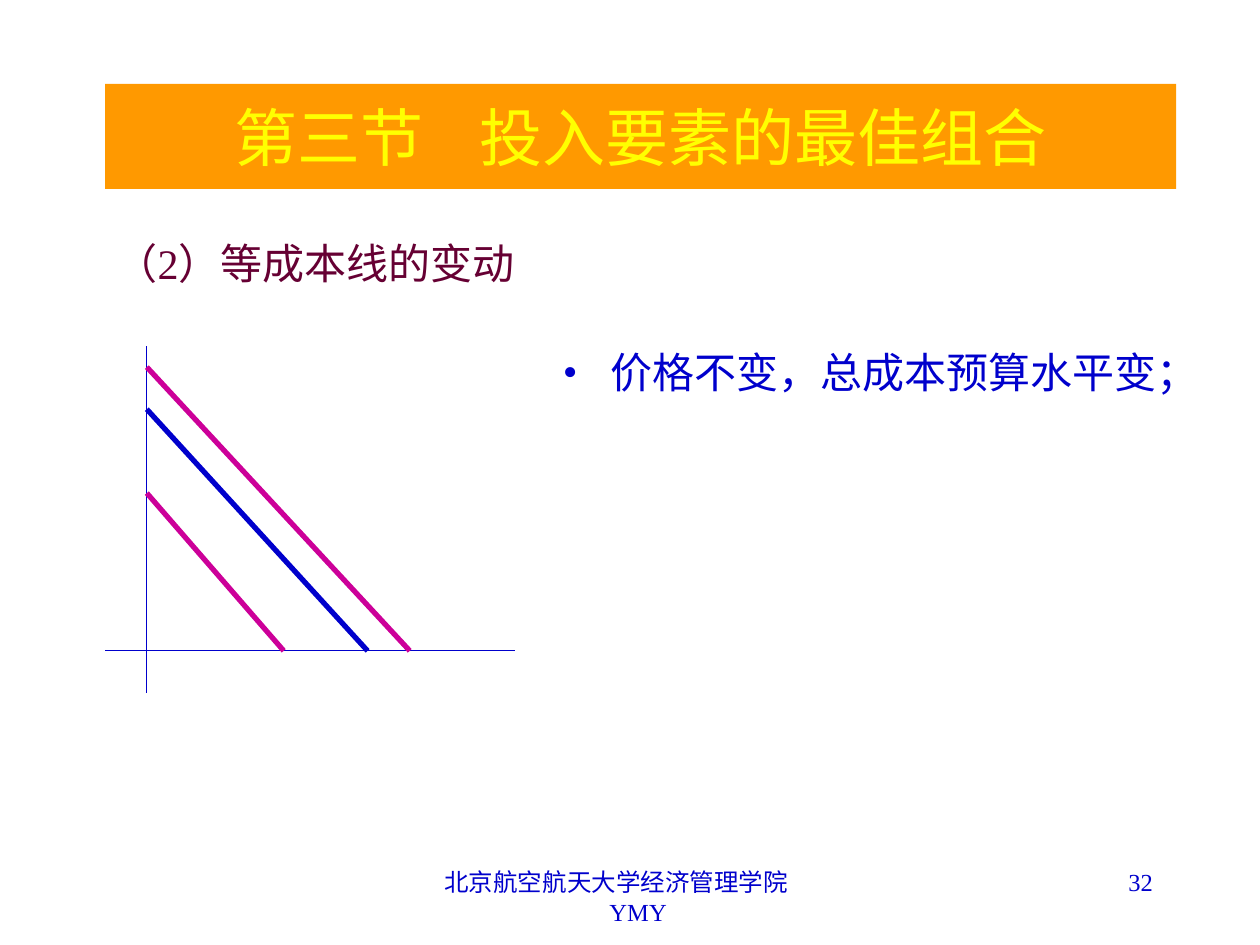
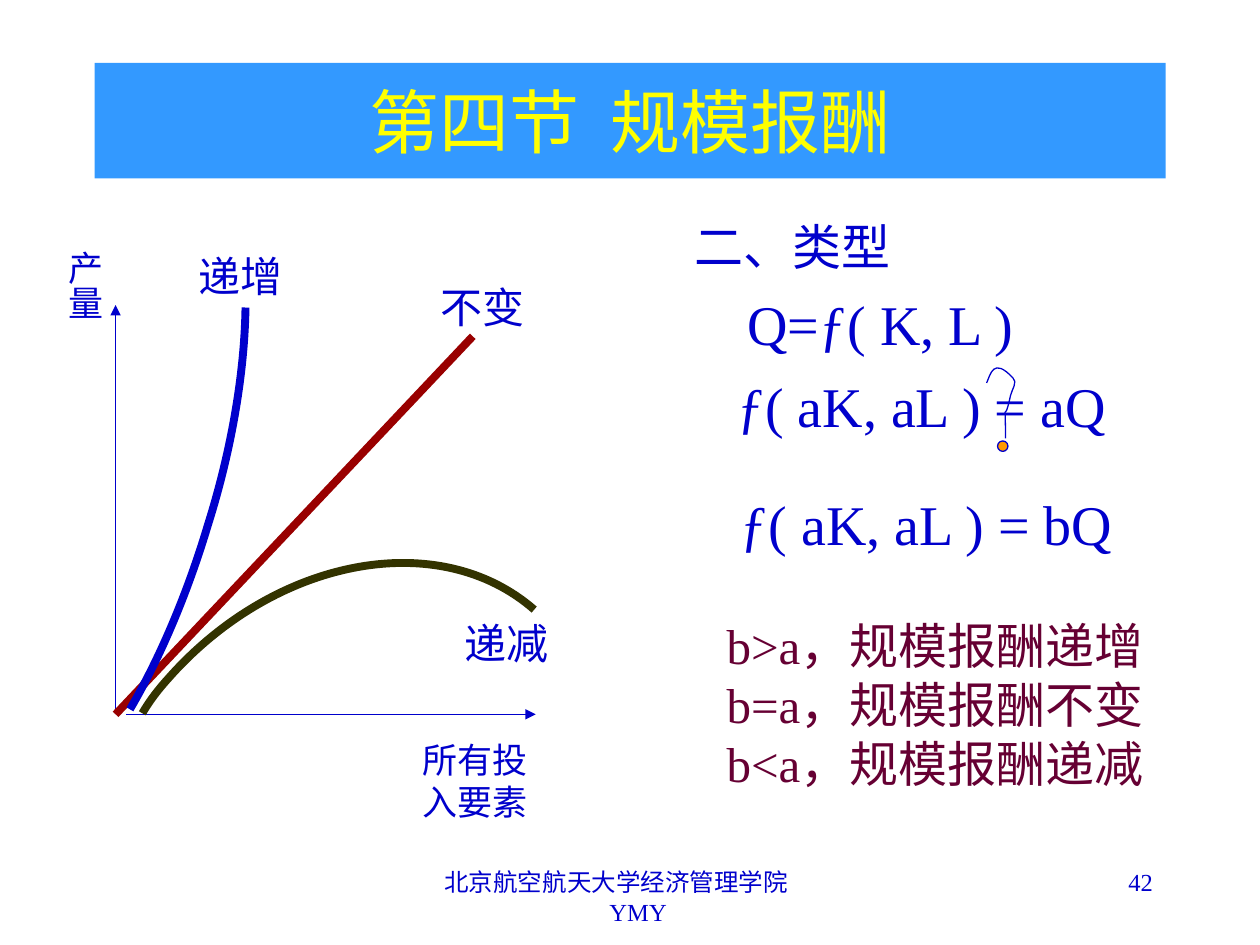
from lxml import etree
from pptx import Presentation
from pptx.dml import color
from pptx.enum import shapes, text
from pptx.oxml import ns
from pptx.util import Cm, Pt

FONT = "Times New Roman"
BLUE, PLUM, YELLOW = "0000CC", "660033", "FFFF00"
ORANGE, SKY, MAGENTA, RED, OLIVE = "FF9900", "3399FF", "CC0099", "990000", "333300"
LEFT, CENTER, RIGHT = text.PP_ALIGN.LEFT, text.PP_ALIGN.CENTER, text.PP_ALIGN.RIGHT


def rgb(value):
    return color.RGBColor.from_string(value)


def add_xml(parent, tag, **attrs):
    return etree.SubElement(parent, ns.qn(tag), attrs)


def write(p, *parts, size=24, fill=BLUE, align=LEFT, before=0,
          indent=0, hang=0, right=0, bullet=None, gap=0):
    pPr = p._p.get_or_add_pPr()
    pPr.set("marL", str(Cm(indent)))
    pPr.set("marR", str(Cm(right)))
    pPr.set("indent", str(-Cm(hang)))
    p.alignment = align
    p.space_before = Pt(before)
    if bullet:
        add_xml(add_xml(pPr, "a:buClr"), "a:srgbClr", val=fill)
        add_xml(pPr, "a:buFont", typeface=FONT)
        add_xml(pPr, "a:buChar", char=bullet)
    for part in parts:
        r = p.add_run()
        r.text = part
        r.font.name, r.font.size = FONT, Pt(size)
        r.font.color.rgb = rgb(fill)
        if part == " ":
            r._r.get_or_add_rPr().set("spc", str(round(gap * 100)))


def add_text(s, box, *lines, wrap=True, vertical=False, **fmt):
    tf = s.shapes.add_textbox(*map(Cm, box)).text_frame
    tf.word_wrap = wrap
    if not wrap:
        tf.auto_size = text.MSO_AUTO_SIZE.SHAPE_TO_FIT_TEXT
    if vertical:
        tf._txBody.bodyPr.set("vert", "eaVert")
        tf.margin_left = tf.margin_right = Cm(0.13)
        tf.margin_top = tf.margin_bottom = Cm(0.25)
    for i, line in enumerate(lines):
        content, own = line if isinstance(line, tuple) else (line, {})
        p = tf.paragraphs[0] if i == 0 else tf.add_paragraph()
        write(p, content, **{**fmt, **own})


def add_filled(s, kind, box, fill, line=None):
    sp = s.shapes.add_shape(kind, *map(Cm, box))
    sp.shadow.inherit = False
    sp.fill.solid()
    sp.fill.fore_color.rgb = rgb(fill)
    if line:
        sp.line.color.rgb, sp.line.width = rgb(line), Pt(0.75)
    else:
        sp.line.fill.background()
    return sp


def add_line(s, origin, start, end, stroke=BLUE, width=0.75, arrow=False):
    x, y = origin
    ends = (x + start[0], y + start[1], x + end[0], y + end[1])
    c = s.shapes.add_connector(shapes.MSO_CONNECTOR.STRAIGHT, *map(Cm, ends))
    c.line.color.rgb, c.line.width = rgb(stroke), Pt(width)
    if arrow:
        add_xml(c.line._get_or_add_ln(), "a:tailEnd", type="triangle")
    add_xml(c._element.spPr, "a:effectLst")


def add_curve(s, origin, controls, stroke=BLUE, width=0.75):
    points = [(Cm(origin[0] + x), Cm(origin[1] + y)) for x, y in controls]
    builder = s.shapes.build_freeform(*points[0])
    builder.add_line_segments(points[1:], close=False)
    sp = builder.convert_to_shape()
    segments = list(sp._element.iter(ns.qn("a:lnTo")))
    outline = segments[0].getparent()
    for i in range(0, len(segments), 3):
        curve = add_xml(outline, "a:cubicBezTo")
        for segment in segments[i:i + 3]:
            curve.append(segment[0])
            outline.remove(segment)
    sp.shadow.inherit = False
    sp.fill.background()
    sp.line.color.rgb, sp.line.width = rgb(stroke), Pt(width)


def add_frame(prs, title, band, fill, size, gap, number):
    s = prs.slides.add_slide(prs.slide_layouts[6])
    add_text(s, (8.68, 17.36, 8.05, 1.27),
             ("北京航空航天大学经济管理学院", {"right": 0.56}),
             ("YMY", {"indent": 0.32}), size=14, align=CENTER)
    add_text(s, (18.2, 17.36, 5.29, 1.27), number, size=14, align=RIGHT)
    tf = add_filled(s, shapes.MSO_SHAPE.RECTANGLE, band, fill).text_frame
    tf.vertical_anchor = text.MSO_ANCHOR.MIDDLE
    write(tf.paragraphs[0], *title, size=size, fill=YELLOW, align=CENTER, gap=gap)
    return s


def draw_isocost_chart(s, box):
    x, y, w, h = box
    origin = x, y
    axis_x, axis_y = 0.84, h - 0.85
    add_line(s, origin, (axis_x, 0), (axis_x, h))
    add_line(s, origin, (0, axis_y), (w, axis_y))
    for top, right, stroke in ((1.27, 5.29, BLUE), (2.96, 3.6, MAGENTA),
                               (0.42, 6.14, MAGENTA)):
        add_line(s, origin, (axis_x, top), (right, axis_y), stroke, 3)


def draw_returns_chart(s, box):
    x, y, w, h = box
    origin = x, y
    add_line(s, origin, (0, h), (0, 0), arrow=True)
    add_line(s, origin, (0.21, h), (w, h), arrow=True)
    add_line(s, origin, (0, h), (7.2, 0.63), RED, 4.5)
    increasing = [(0.29, 8.15), (0.9, 7.11), (1.45, 5.81), (1.86, 4.44),
                  (2.34, 2.92), (2.6, 1.37), (2.62, 0.05)]
    decreasing = [(0.54, 8.23), (0.69, 7.97), (0.87, 7.74), (1.07, 7.52),
                  (3.23, 5.08), (6.53, 4.47), (8.44, 6.14)]
    add_curve(s, origin, increasing, BLUE, 4.5)
    add_curve(s, origin, decreasing, OLIVE, 4.5)
    for label, dx, dy in (("递增", 1.43, -1.22), ("递减", 6.79, 6.17),
                          ("不变", 6.31, -0.59)):
        add_text(s, (x + dx, y + dy, 2.22, 1.27), label, wrap=False)
    add_text(s, (x + 5.93, y + h + 0.36, 2.62, 1.96), "所有投", "入要素",
             size=20, wrap=False)
    add_text(s, (x - 1.42, y - 1.34, 1.35, 1.68), "产量",
             size=20, wrap=False, vertical=True)


def draw_question_mark(s, x, y):
    hook = [(0, 0.53), (0.08, 0.36), (0.13, 0), (0.53, 0.43),
            (0.63, 0.51), (0.51, 0.66), (0.48, 0.79),
            (0.33, 1.5), (0.38, 0.66), (0.38, 1.65)]
    add_curve(s, (x, y), hook)
    add_filled(s, shapes.MSO_SHAPE.OVAL, (x + 0.22, y + 1.7, 0.21, 0.21), ORANGE, BLUE)


def draw_formulas(s, x, y):
    add_text(s, (x, y, 9.74, 5.08), ("二、类型", {"size": 28}),
             ("Q=ƒ( K, L )", {"indent": 1.06, "before": 8}),
             ("ƒ( aK, aL ) = aQ", {"indent": 0.85, "before": 8}), size=32)
    draw_question_mark(s, x + 6.13, y + 2.94)
    add_text(s, (x + 0.64, y + 5.5, 9.95, 6.35),
             ("ƒ( aK, aL ) = bQ", {"size": 32, "fill": BLUE, "indent": 0.28}),
             ("b>a，规模报酬递增", {"before": 33.5}),
             "b=a，规模报酬不变", "b<a，规模报酬递减", size=28, fill=PLUM)


def isocost_slide(prs):
    s = add_frame(prs, ("第三节", " ", "投入要素的最佳组合"),
                  (2.12, 1.69, 21.59, 2.12), ORANGE, 36, 23.8, "32")
    add_text(s, (2.08, 4.67, 10.41, 1.27), "（2）等成本线的变动", fill=PLUM)
    add_text(s, (11.1, 6.87, 13.41, 1.27), "价格不变，总成本预算水平变；",
             indent=0.95, hang=0.95, bullet="•")
    draw_isocost_chart(s, (2.12, 6.98, 8.26, 6.99))


def returns_slide(prs):
    s = add_frame(prs, ("第四节", " ", "规模报酬"),
                  (1.91, 1.27, 21.59, 2.33), SKY, 40, 9, "42")
    draw_formulas(s, 13.76, 4.25)
    draw_returns_chart(s, (2.33, 6.15, 8.47, 8.25))


def main():
    prs = Presentation()
    prs.slide_width, prs.slide_height = Cm(25.4), Cm(19.05)
    isocost_slide(prs)
    returns_slide(prs)
    prs.save("out.pptx")


if __name__ == "__main__":
    main()
